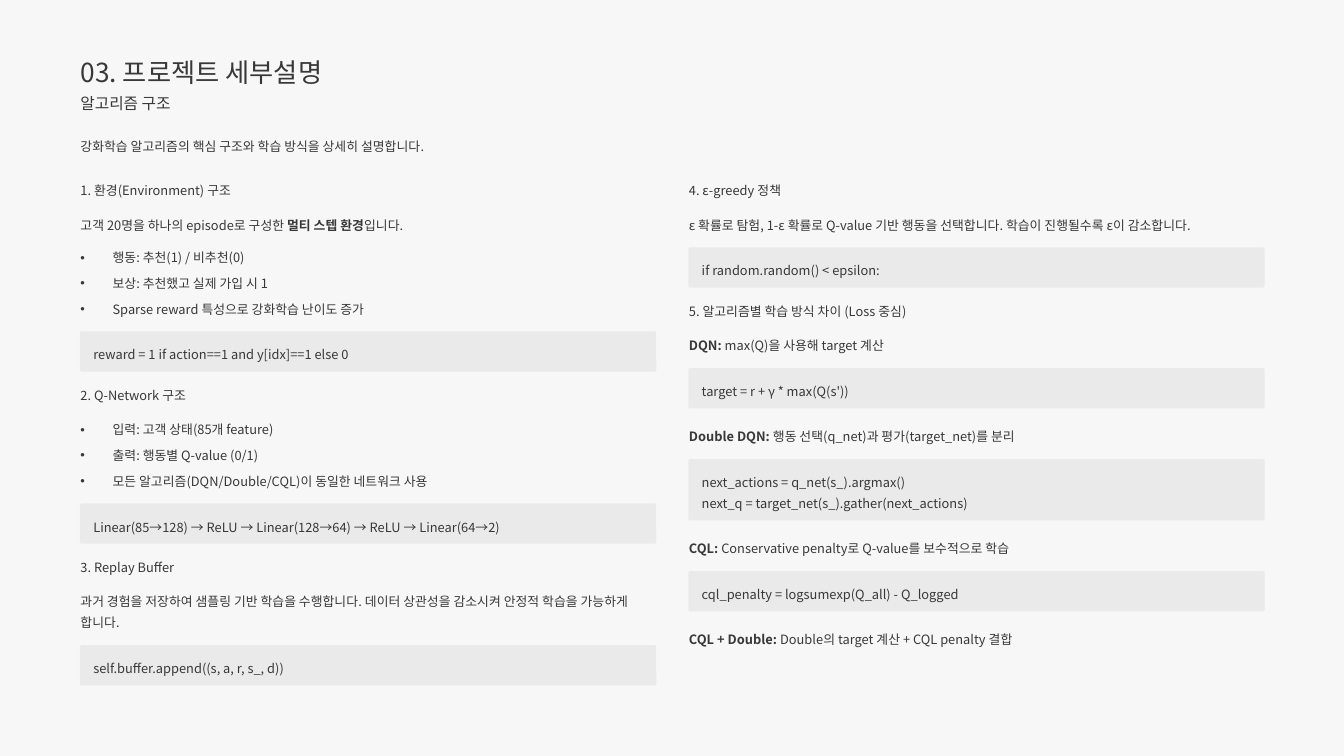
from dataclasses import dataclass
from enum import Enum

from lxml import etree
from pptx import Presentation
from pptx import util as u
from pptx.dml.color import RGBColor
from pptx.enum import shapes, text
from pptx.oxml import ns
from pptx.slide import Slide
from pptx.text.text import TextFrame, _Paragraph


@dataclass(frozen=True)
class Theme:
    font: str = "Noto Sans CJK KR"
    ink: RGBColor = RGBColor(0x38, 0x38, 0x38)
    page: RGBColor = RGBColor(0xF7, 0xF7, 0xF7)
    panel: RGBColor = RGBColor(0xEA, 0xEA, 0xEA)
    title: float = 22.5
    subtitle: float = 13.5
    body: float = 11
    leading: float = 18
    heading_leading: float = 14


class Kind(Enum):
    HEADING = "heading"
    TEXT = "text"
    BULLETS = "bullets"
    CODE = "code"


@dataclass(frozen=True)
class Block:
    kind: Kind
    lines: tuple[str, ...]
    rows: int = 1


THEME = Theme()
LEFT, RIGHT, TOP = 69, 590.5, 156
COLUMN_WIDTH = 493.5
CODE_INSET, CODE_PADDING = 11, 8.25
CODE_RADIUS = 1.65
BULLET_INDENT, BULLET_GAP = 27.5, 4

GAP_AFTER_HEADING, GAP_BEFORE_BULLETS, GAP_BEFORE_CODE, GAP_AFTER_CODE = 11.5, 10, 12.5, 13


def heading(line: str) -> Block:
    return Block(Kind.HEADING, (line,))


def sentence(line: str, rows: int = 1) -> Block:
    return Block(Kind.TEXT, (line,), rows)


def bullets(*lines: str) -> Block:
    return Block(Kind.BULLETS, lines, len(lines))


def code(*lines: str) -> Block:
    return Block(Kind.CODE, lines, len(lines))


LEFT_COLUMN = (
    heading("1. 환경(Environment) 구조"),
    sentence("고객 20명을 하나의 episode로 구성한 **멀티 스텝 환경**입니다."),
    bullets(
        "행동: 추천(1) / 비추천(0)",
        "보상: 추천했고 실제 가입 시 1",
        "Sparse reward 특성으로 강화학습 난이도 증가",
    ),
    code("reward = 1 if action==1 and y[idx]==1 else 0"),
    heading("2. Q-Network 구조"),
    bullets(
        "입력: 고객 상태(85개 feature)",
        "출력: 행동별 Q-value (0/1)",
        "모든 알고리즘(DQN/Double/CQL)이 동일한 네트워크 사용",
    ),
    code("Linear(85→128) → ReLU → Linear(128→64) → ReLU → Linear(64→2)"),
    heading("3. Replay Buffer"),
    sentence(
        "과거 경험을 저장하여 샘플링 기반 학습을 수행합니다. "
        "데이터 상관성을 감소시켜 안정적 학습을 가능하게 합니다.",
        rows=2,
    ),
    code("self.buffer.append((s, a, r, s_, d))"),
)

RIGHT_COLUMN = (
    heading("4. ε-greedy 정책"),
    sentence("ε 확률로 탐험, 1-ε 확률로 Q-value 기반 행동을 선택합니다. 학습이 진행될수록 ε이 감소합니다."),
    code("if random.random() < epsilon:"),
    heading("5. 알고리즘별 학습 방식 차이 (Loss 중심)"),
    sentence("**DQN:** max(Q)을 사용해 target 계산"),
    code("target = r + γ * max(Q(s'))"),
    sentence("**Double DQN:** 행동 선택(q_net)과 평가(target_net)를 분리"),
    code("next_actions = q_net(s_).argmax()", "next_q = target_net(s_).gather(next_actions)"),
    sentence("**CQL:** Conservative penalty로 Q-value를 보수적으로 학습"),
    code("cql_penalty = logsumexp(Q_all) - Q_logged"),
    sentence("**CQL + Double:** Double의 target 계산 + CQL penalty 결합"),
)


def place(shape, left: float, top: float, width: float, height: float) -> None:
    shape.left, shape.top = u.Pt(left), u.Pt(top)
    shape.width, shape.height = u.Pt(width), u.Pt(height)


def add_bullet(para: _Paragraph) -> None:
    properties = para._p.get_or_add_pPr()
    properties.set("marL", str(u.Pt(BULLET_INDENT)))
    properties.set("indent", str(-u.Pt(BULLET_INDENT)))
    etree.SubElement(properties, ns.qn("a:buChar")).set("char", "•")


def write(frame: TextFrame, lines: tuple[str, ...], size: float, leading: float,
          inset: float = 0, padding: float = 0, bulleted: bool = False) -> None:
    frame.word_wrap = True
    frame.auto_size = text.MSO_AUTO_SIZE.NONE
    frame.vertical_anchor = text.MSO_ANCHOR.TOP
    frame.margin_left = frame.margin_right = u.Pt(inset)
    frame.margin_top = frame.margin_bottom = u.Pt(padding)
    frame.text = "\n".join(line.replace("**", "") for line in lines)
    for index, (para, line) in enumerate(zip(frame.paragraphs, lines)):
        para.alignment = text.PP_ALIGN.LEFT
        para.line_spacing = u.Pt(leading)
        para.space_before = u.Pt(BULLET_GAP if bulleted and index else 0)
        if bulleted:
            add_bullet(para)
        if "**" in line:
            para.clear()
            for position, part in enumerate(line.split("**")):
                if part:
                    span = para.add_run()
                    span.text = part
                    span.font.bold = position % 2 == 1
        for span in para.runs:
            span.font.name = THEME.font
            span.font.size = u.Pt(size)
            span.font.color.rgb = THEME.ink
            east_asian = etree.SubElement(span.font._element, ns.qn("a:ea"))
            east_asian.set("typeface", THEME.font)


def add_text(page: Slide, line: str, left: float, top: float, width: float,
             height: float, size: float, leading: float) -> None:
    box = page.shapes.add_textbox(u.Pt(left), u.Pt(top), u.Pt(width), u.Pt(height))
    write(box.text_frame, (line,), size, leading)


def add_code(page: Slide, block: Block, left: float, top: float, height: float) -> None:
    panel = page.shapes.add_shape(shapes.MSO_SHAPE.ROUNDED_RECTANGLE, u.Pt(left - 0.5),
                                  u.Pt(top), u.Pt(COLUMN_WIDTH + 0.5), u.Pt(height))
    panel.adjustments[0] = CODE_RADIUS / height
    panel.shadow.inherit = False
    panel.fill.solid()
    panel.fill.fore_color.rgb = THEME.panel
    panel.line.fill.background()
    write(panel.text_frame, block.lines, THEME.body, THEME.leading, CODE_INSET, CODE_PADDING)


def gap_between(previous: Kind, current: Kind) -> float:
    if previous is Kind.HEADING:
        return GAP_AFTER_HEADING
    if previous is Kind.CODE:
        return GAP_AFTER_CODE
    return GAP_BEFORE_BULLETS if current is Kind.BULLETS else GAP_BEFORE_CODE


def draw_column(page: Slide, blocks: tuple[Block, ...], left: float, lists: list) -> None:
    top, previous = TOP, None
    for block in blocks:
        if previous:
            top += gap_between(previous, block.kind)
        leading = THEME.heading_leading if block.kind is Kind.HEADING else THEME.leading
        height = leading * block.rows
        if block.kind is Kind.CODE:
            height += 2 * CODE_PADDING
            add_code(page, block, left, top, height)
        elif block.kind is Kind.BULLETS:
            height += BULLET_GAP * (block.rows - 1)
            body = lists.pop(0)
            place(body, left, top, COLUMN_WIDTH, height)
            write(body.text_frame, block.lines, THEME.body, leading, bulleted=True)
        else:
            add_text(page, block.lines[0], left, top, COLUMN_WIDTH, height, THEME.body, leading)
        top += height
        previous = block.kind


def main() -> None:
    deck = Presentation()
    deck.slide_width, deck.slide_height = u.Pt(1152), u.Pt(648)
    page = deck.slides.add_slide(deck.slide_layouts[3])
    page.background.fill.solid()
    page.background.fill.fore_color.rgb = THEME.page
    title, *lists = page.placeholders
    place(title, LEFT, 47.5, 400, 28)
    write(title.text_frame, ("03. 프로젝트 세부설명",), THEME.title, 28)
    add_text(page, "알고리즘 구조", LEFT, 80, 135, 16.5, THEME.subtitle, 16.5)
    add_text(page, "강화학습 알고리즘의 핵심 구조와 학습 방식을 상세히 설명합니다.",
             LEFT, 114, 1014, 18, THEME.body, THEME.leading)
    draw_column(page, LEFT_COLUMN, LEFT, lists)
    draw_column(page, RIGHT_COLUMN, RIGHT, lists)
    deck.save("out.pptx")


if __name__ == "__main__":
    main()
